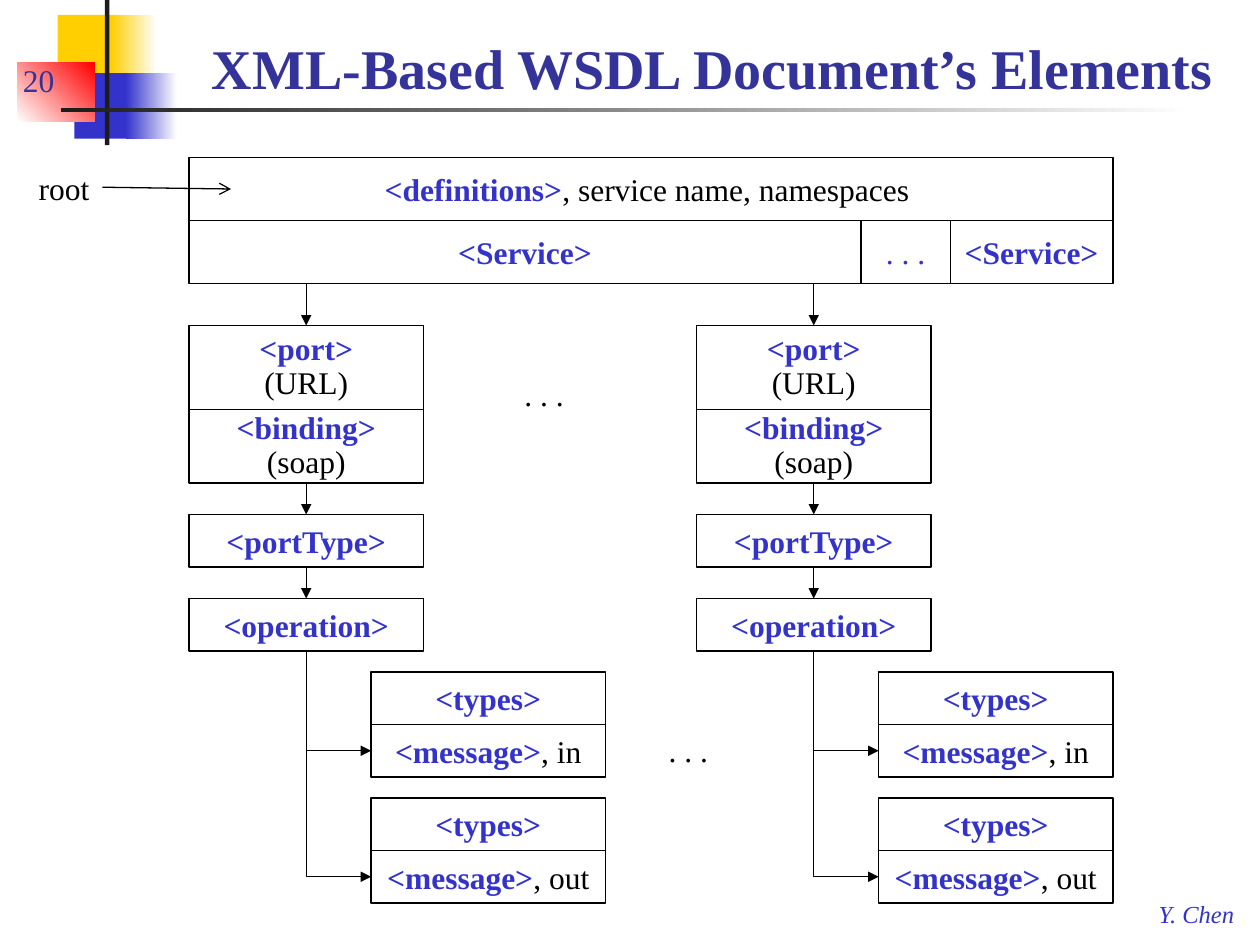
"""Build the slide on the elements of an XML-based WSDL document."""
from lxml import etree
from pptx import Presentation
from pptx.dml.color import RGBColor
from pptx.enum import shapes, text
from pptx.oxml import ns
from pptx.util import Pt

BLACK = RGBColor(0x00, 0x00, 0x00)
WHITE = RGBColor(0xFF, 0xFF, 0xFF)
BLUE = RGBColor(0x33, 0x33, 0xCC)
NAVY = RGBColor(0x33, 0x33, 0x99)
YELLOW = RGBColor(0xFF, 0xCF, 0x01)
RED = RGBColor(0xFF, 0x00, 0x00)
CHARCOAL = RGBColor(0x1C, 0x1C, 0x1C)

FONT = "Times New Roman"
DOTS = ". . ."
LEFT, RIGHT = 108, 636
BOX_WIDTH = 134
BOX_HEIGHT = 30
CHILD_INDENT = 104


def write(frame, paragraphs, size=18, color=BLACK, bold=False, italic=False,
          align=None, spacing=None, anchor=text.MSO_ANCHOR.TOP, wrap=False):
    """Fill a text frame; each paragraph is a list of strings, with <tags> set bold blue."""
    frame.word_wrap = wrap
    frame.vertical_anchor = anchor
    for index, pieces in enumerate(paragraphs):
        paragraph = frame.paragraphs[0] if index == 0 else frame.add_paragraph()
        paragraph.alignment = align
        paragraph.line_spacing = spacing
        for piece in pieces:
            is_tag = piece.startswith("<")
            run = paragraph.add_run()
            run.text = piece
            run.font.name = FONT
            run.font.size = Pt(size)
            run.font.bold = bold or is_tag
            run.font.italic = italic
            run.font.color.rgb = BLUE if is_tag else color


def add_label(slide, bounds, content, grow=True, **style):
    """Add a text box with one line of text."""
    label = slide.shapes.add_textbox(*map(Pt, bounds))
    write(label.text_frame, [[content]], **style)
    if grow:
        label.text_frame.auto_size = text.MSO_AUTO_SIZE.SHAPE_TO_FIT_TEXT


def add_rectangle(slide, bounds):
    """Add a rectangle without shadow."""
    shape = slide.shapes.add_shape(shapes.MSO_SHAPE.RECTANGLE, *map(Pt, bounds))
    shape.shadow.inherit = False
    return shape


def add_block(slide, bounds, start, end=None, angle=0):
    """Add a borderless block with a plain or a two-colour gradient fill."""
    block = add_rectangle(slide, bounds)
    block.line.fill.background()
    if end is None:
        block.fill.solid()
        block.fill.fore_color.rgb = start
        return
    block.fill.gradient()
    block.fill.gradient_angle = angle
    for stop, color in zip(block.fill.gradient_stops, (start, end)):
        stop.color.rgb = color


def add_box(slide, bounds, *paragraphs, **style):
    """Add an outlined white box with centred text."""
    box = add_rectangle(slide, bounds)
    box.fill.solid()
    box.fill.fore_color.rgb = WHITE
    box.line.color.rgb = BLACK
    box.line.width = Pt(0.75)
    write(box.text_frame, paragraphs, align=text.PP_ALIGN.CENTER,
          anchor=text.MSO_ANCHOR.MIDDLE, **style)


def add_arrow(slide, start, end, head="triangle", kind=shapes.MSO_CONNECTOR.STRAIGHT):
    """Add a connector with an arrowhead at its end."""
    arrow = slide.shapes.add_connector(kind, *map(Pt, (*start, *end)))
    arrow.line.color.rgb = BLACK
    arrow.line.width = Pt(0.75)
    properties = arrow._element.spPr
    line = properties.find(ns.qn("a:ln"))
    etree.SubElement(line, ns.qn("a:tailEnd"), type=head)
    etree.SubElement(properties, ns.qn("a:effectLst"))
    return arrow


def add_elbow(slide, start, end):
    """Add an arrow that runs down and then right."""
    middle_x, middle_y = (start[0] + end[0]) / 2, (start[1] + end[1]) / 2
    half_drop, half_run = (end[1] - start[1]) / 2, (end[0] - start[0]) / 2
    elbow = add_arrow(slide, (middle_x + half_drop, middle_y - half_run),
                      (middle_x - half_drop, middle_y + half_run),
                      kind=shapes.MSO_CONNECTOR.ELBOW)
    properties = elbow._element.spPr
    properties.find(ns.qn("a:xfrm")).set("rot", "16200000")
    properties.find(ns.qn("a:prstGeom")).set("prst", "bentConnector2")


def add_decoration(slide):
    """Add the coloured blocks and rules around the title."""
    add_block(slide, (33, 8.5, 34.5, 37.5), YELLOW)
    add_block(slide, (63.5, 8.5, 26, 37.5), YELLOW, WHITE)
    add_block(slide, (42.5, 41.75, 33, 37.5), BLUE)
    add_block(slide, (72, 41.75, 29, 37.5), BLUE, WHITE)
    add_block(slide, (10, 36, 44, 33.5), WHITE, RED, angle=45)
    add_block(slide, (60, 0, 2.5, 83), CHARCOAL)
    add_block(slide, (34.75, 62, 648, 2.25), CHARCOAL, WHITE)


def add_service_header(slide):
    """Add the root element and its row of services."""
    add_box(slide, (LEFT, 90, RIGHT - LEFT, 36),
            ["<definitions>", ", service name, namespaces "])
    edges = (LEFT, 492, 543, RIGHT)
    for left, right, content in zip(edges, edges[1:], ("<Service>", DOTS, "<Service>")):
        add_box(slide, (left, 126, right - left, 36), [content], color=BLUE)


def add_port_tree(slide, left):
    """Add one port with its binding, port type, operation and messages."""
    center = left + BOX_WIDTH / 2
    for top, height, tag, note in ((186, 48, "<port>", "(URL)"),
                                   (234, 42, "<binding>", "(soap)")):
        add_box(slide, (left, top, BOX_WIDTH, height), [tag], [note], spacing=0.9)
    for top, tag in ((294, "<portType>"), (342, "<operation>")):
        add_box(slide, (left, top, BOX_WIDTH, BOX_HEIGHT), [tag])
    for start, end in ((162, 186), (276, 294), (324, 342)):
        add_arrow(slide, (center, start), (center, end))

    child = left + CHILD_INDENT
    for top, direction in ((384, "in"), (456, "out")):
        message_top = top + BOX_HEIGHT
        add_box(slide, (child, top, BOX_WIDTH, BOX_HEIGHT), ["<types>"])
        add_box(slide, (child, message_top, BOX_WIDTH, BOX_HEIGHT),
                ["<message>", f", {direction}"])
        add_elbow(slide, (center, 372), (child, message_top + BOX_HEIGHT / 2))


def main():
    """Build and save the presentation."""
    presentation = Presentation()
    presentation.slide_width, presentation.slide_height = Pt(720), Pt(540)
    slide = presentation.slides.add_slide(presentation.slide_layouts[6])

    add_decoration(slide)
    add_label(slide, (655, 510, 59, 24), "Y. Chen", size=14, color=BLUE, italic=True)
    add_label(slide, (6, 24, 150, 36), "20", grow=False, color=NAVY,
              anchor=text.MSO_ANCHOR.BOTTOM, wrap=True)
    add_label(slide, (114, 12, 600, 49), "XML-Based WSDL Document’s Elements",
              grow=False, size=32, color=NAVY, bold=True,
              anchor=text.MSO_ANCHOR.BOTTOM, wrap=True)

    add_service_header(slide)
    for left in (LEFT, RIGHT - CHILD_INDENT - BOX_WIDTH):
        add_port_tree(slide, left)
    for left, top in ((292.5, 211), (375, 414)):
        add_label(slide, (left, top, 37, 29), DOTS)

    add_label(slide, (15, 93, 44, 29), "root")
    add_arrow(slide, (58.5, 107), (132, 108), head="arrow")
    presentation.save("out.pptx")


main()
